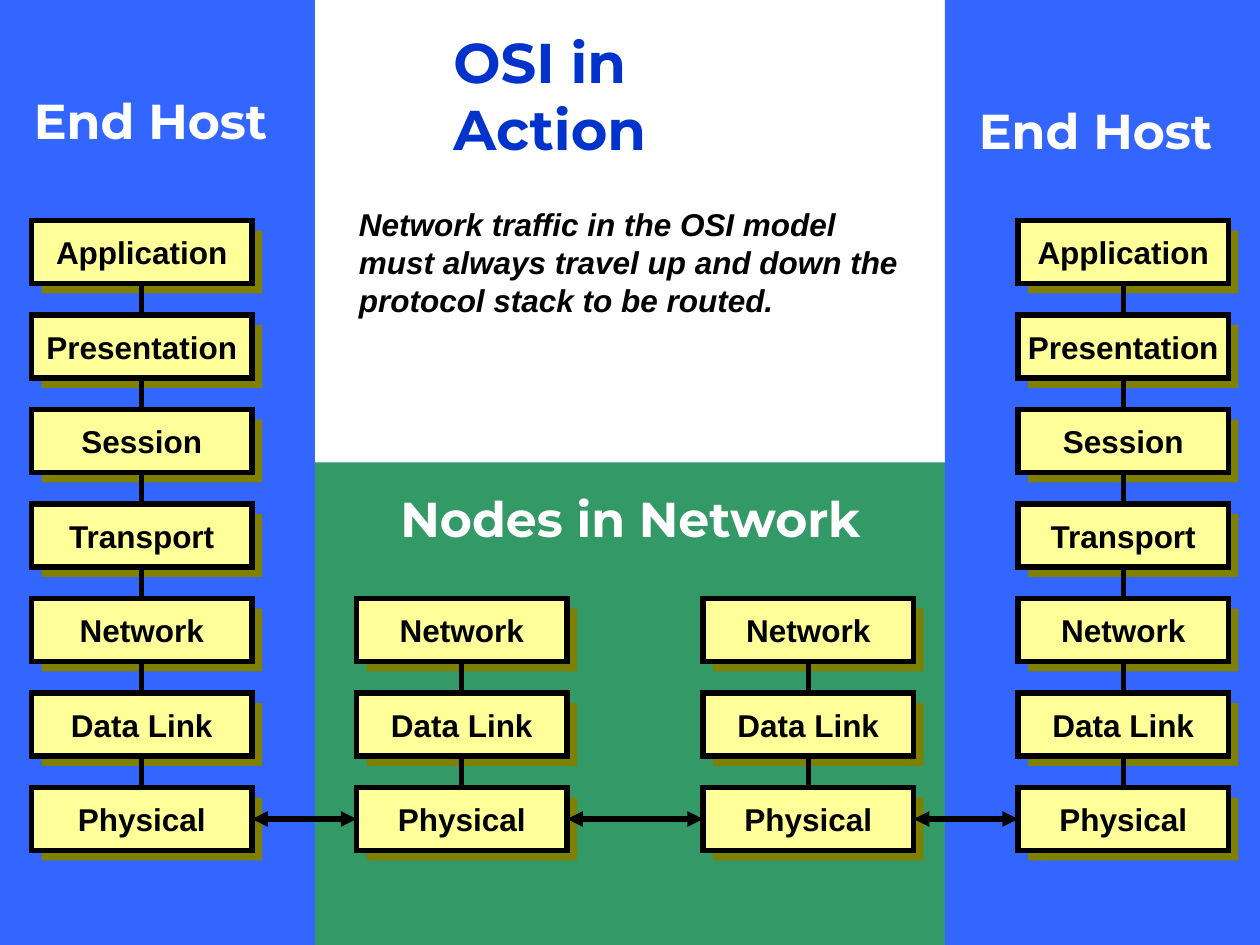
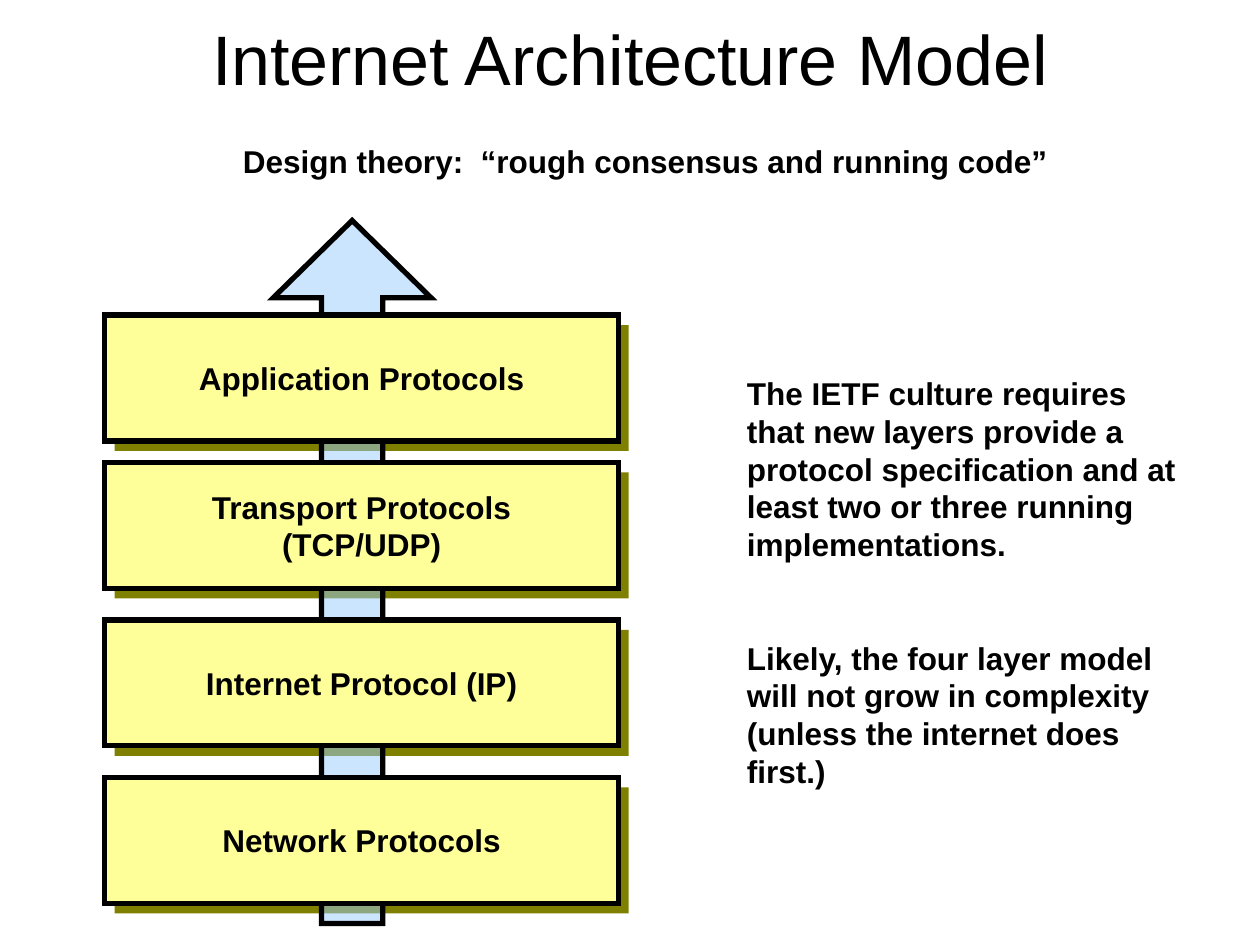
from dataclasses import dataclass
from itertools import pairwise

from lxml import etree
from pptx import Presentation
from pptx.dml.color import RGBColor
from pptx.enum.shapes import MSO_CONNECTOR, MSO_SHAPE
from pptx.enum.text import MSO_ANCHOR, PP_ALIGN
from pptx.oxml.ns import qn
from pptx.shapes.autoshape import Shape
from pptx.slide import Slide
from pptx.util import Inches, Pt

RECTANGLE = MSO_SHAPE.RECTANGLE
UP_ARROW = MSO_SHAPE.UP_ARROW
STRAIGHT = MSO_CONNECTOR.STRAIGHT
LEFT, CENTER = PP_ALIGN.LEFT, PP_ALIGN.CENTER
TOP, MIDDLE = MSO_ANCHOR.TOP, MSO_ANCHOR.MIDDLE
TOP_SIDE, LEFT_SIDE, BOTTOM_SIDE, RIGHT_SIDE = range(4)

BLACK, WHITE = "000000", "FFFFFF"
HOST_BLUE, NODE_GREEN, TITLE_BLUE = "3366FF", "339966", "0033CC"
BOX_YELLOW, SHADOW_OLIVE, ARROW_BLUE = "FFFF99", "808000", "99CCFF"
BODY_FONT, HEADING_FONT = "Arial", "Montserrat"
LINE_WIDTH = Pt(3)
BODY_SPACING = Pt(21.6)
SHADOW_OFFSET = 0.08

OSI_LAYERS = (
    "Application",
    "Presentation",
    "Session",
    "Transport",
    "Network",
    "Data Link",
    "Physical",
)
STACK_TOP, LAYER_PITCH, LAYER_HEIGHT = 1.75, 0.75, 0.5
PROTOCOL_LEFT, PROTOCOL_WIDTH, PROTOCOL_HEIGHT = 0.83, 4.08, 1


@dataclass(frozen=True)
class Area:
    left: float
    top: float
    width: float
    height: float

    def lengths(self) -> list[int]:
        return [Inches(n) for n in (self.left, self.top, self.width, self.height)]

    def shadow(self) -> "Area":
        return Area(
            self.left + SHADOW_OFFSET, self.top + SHADOW_OFFSET, self.width, self.height
        )


@dataclass(frozen=True)
class TextStyle:
    size: int = 18
    font: str = BODY_FONT
    color: str = BLACK
    bold: bool = True
    italic: bool = False
    line_spacing: int | None = BODY_SPACING
    paragraph_gap: int = 0


@dataclass(frozen=True)
class Stack:
    left: float
    width: float
    first_layer: int


@dataclass(frozen=True)
class Protocol:
    top: float
    lines: tuple[str, ...]

    def area(self) -> Area:
        return Area(PROTOCOL_LEFT, self.top, PROTOCOL_WIDTH, PROTOCOL_HEIGHT)


BODY = TextStyle()
HEADING = TextStyle(28, HEADING_FONT, WHITE, line_spacing=None)
STACKS = (
    Stack(0.25, 1.75, 0),
    Stack(2.83, 1.67, 4),
    Stack(5.58, 1.67, 4),
    Stack(8.08, 1.67, 0),
)
PROTOCOLS = (
    Protocol(2.5, ("Application Protocols",)),
    Protocol(3.67, ("Transport Protocols", "(TCP/UDP)")),
    Protocol(4.92, ("Internet Protocol (IP)",)),
    Protocol(6.17, ("Network Protocols",)),
)


def rgb(value: str) -> RGBColor:
    return RGBColor.from_string(value)


def write_text(
    shape: Shape,
    lines: tuple[str, ...],
    style: TextStyle,
    alignment: PP_ALIGN = LEFT,
    anchor: MSO_ANCHOR = TOP,
    wrap: bool = True,
) -> None:
    frame = shape.text_frame
    frame.word_wrap = wrap
    frame.vertical_anchor = anchor
    for index, line in enumerate(lines):
        paragraph = frame.add_paragraph() if index else frame.paragraphs[0]
        paragraph.alignment = alignment
        if style.line_spacing:
            paragraph.line_spacing = style.line_spacing
        if index and style.paragraph_gap:
            paragraph.space_before = style.paragraph_gap
        run = paragraph.add_run()
        run.text = line
        run.font.name = style.font
        run.font.size = Pt(style.size)
        run.font.bold = style.bold
        run.font.italic = style.italic
        run.font.color.rgb = rgb(style.color)


def add_text(
    slide: Slide,
    area: Area,
    lines: tuple[str, ...],
    style: TextStyle = BODY,
    alignment: PP_ALIGN = LEFT,
    anchor: MSO_ANCHOR = TOP,
    wrap: bool = True,
) -> Shape:
    text_box = slide.shapes.add_textbox(*area.lengths())
    write_text(text_box, lines, style, alignment, anchor, wrap)
    return text_box


def add_filled(
    slide: Slide,
    area: Area,
    color: str,
    outlined: bool = False,
    preset: MSO_SHAPE = RECTANGLE,
) -> Shape:
    shape = slide.shapes.add_shape(preset, *area.lengths())
    shape.shadow.inherit = False
    shape.fill.solid()
    shape.fill.fore_color.rgb = rgb(color)
    if outlined:
        shape.line.color.rgb = rgb(BLACK)
        shape.line.width = LINE_WIDTH
        outline = shape.element.spPr.find(qn("a:ln"))
        etree.SubElement(outline, qn("a:miter")).set("lim", "800000")
    else:
        shape.line.fill.background()
    return shape


def add_layer_box(slide: Slide, area: Area, lines: tuple[str, ...]) -> Shape:
    box = add_filled(slide, area, BOX_YELLOW, outlined=True)
    write_text(box, lines, BODY, CENTER, MIDDLE, wrap=False)
    return box


def add_stack(slide: Slide, stack: Stack) -> list[Shape]:
    boxes = []
    for index in range(stack.first_layer, len(OSI_LAYERS)):
        top = STACK_TOP + index * LAYER_PITCH
        area = Area(stack.left, top, stack.width, LAYER_HEIGHT)
        add_filled(slide, area.shadow(), SHADOW_OLIVE)
        boxes.append(add_layer_box(slide, area, (OSI_LAYERS[index],)))
    return boxes


def link(
    slide: Slide,
    start: Shape,
    start_side: int,
    end: Shape,
    end_side: int,
    arrows: bool = False,
) -> None:
    connector = slide.shapes.add_connector(STRAIGHT, 0, 0, 0, 0)
    connector.begin_connect(start, start_side)
    connector.end_connect(end, end_side)
    connector.line.color.rgb = rgb(BLACK)
    connector.line.width = LINE_WIDTH
    properties = connector.element.spPr
    if arrows:
        for tag in ("a:headEnd", "a:tailEnd"):
            arrowhead = etree.SubElement(properties.find(qn("a:ln")), qn(tag))
            arrowhead.set("type", "triangle")
    etree.SubElement(properties, qn("a:effectLst"))


def build_osi_slide(slide: Slide) -> None:
    add_filled(slide, Area(2.5, 3.67, 5, 3.83), NODE_GREEN)
    for left in (7.5, 0):
        add_filled(slide, Area(left, 0, 2.5, 7.5), HOST_BLUE)

    stacks = [add_stack(slide, stack) for stack in STACKS]
    for left_stack, right_stack in pairwise(stacks):
        link(slide, left_stack[-1], RIGHT_SIDE, right_stack[-1], LEFT_SIDE, arrows=True)
    for boxes in stacks:
        for upper, lower in pairwise(boxes):
            link(slide, upper, BOTTOM_SIDE, lower, TOP_SIDE)

    add_text(slide, Area(0.17, 0.67, 2.25, 0.57), ("End Host",), HEADING)
    add_text(slide, Area(7.67, 0.75, 2.25, 0.57), ("End Host",), HEADING)
    add_text(slide, Area(3.08, 3.83, 4.33, 0.57), ("Nodes in Network",), HEADING)
    add_text(
        slide,
        Area(2.75, 1.58, 4.52, 1),
        (
            "Network traffic in the OSI model must always travel up and down "
            "the protocol stack to be routed.",
        ),
        TextStyle(italic=True),
    )
    add_text(
        slide,
        Area(3.5, 0.17, 2.9, 1.17),
        ("OSI in Action",),
        TextStyle(32, HEADING_FONT, TITLE_BLUE, line_spacing=None),
    )


def build_internet_slide(slide: Slide) -> None:
    add_text(
        slide,
        Area(0.75, 0, 8.5, 0.91),
        ("Internet Architecture Model",),
        TextStyle(40, bold=False, line_spacing=None),
        CENTER,
        MIDDLE,
    )
    for protocol in PROTOCOLS:
        add_filled(slide, protocol.area().shadow(), SHADOW_OLIVE)

    arrow = add_filled(slide, Area(2.17, 1.75, 1.25, 5.58), ARROW_BLUE, True, UP_ARROW)
    arrow.adjustments[0] = 0.39
    arrow.adjustments[1] = 0.49
    fill_color = arrow.element.spPr.find(qn("a:solidFill")).find(qn("a:srgbClr"))
    etree.SubElement(fill_color, qn("a:alpha")).set("val", "50000")

    for protocol in PROTOCOLS:
        add_layer_box(slide, protocol.area(), protocol.lines)

    add_text(
        slide,
        Area(1.83, 1.08, 6.59, 0.4),
        ("Design theory:  “rough consensus and running code”",),
        wrap=False,
    )
    culture = add_text(
        slide,
        Area(5.83, 2.92, 3.75, 3.4),
        (
            "The IETF culture requires",
            "that new layers provide a protocol specification and at least "
            "two or three running implementations.",
            "Likely, the four layer model will not grow in complexity "
            "(unless the internet does first.)",
        ),
    )
    culture.text_frame.paragraphs[-1].space_before = 2 * BODY_SPACING


def main() -> None:
    presentation = Presentation()
    presentation.slide_width = Inches(10)
    presentation.slide_height = Inches(7.5)
    blank_layout = presentation.slide_layouts[6]
    for build in (build_osi_slide, build_internet_slide):
        build(presentation.slides.add_slide(blank_layout))
    presentation.save("out.pptx")


if __name__ == "__main__":
    main()
